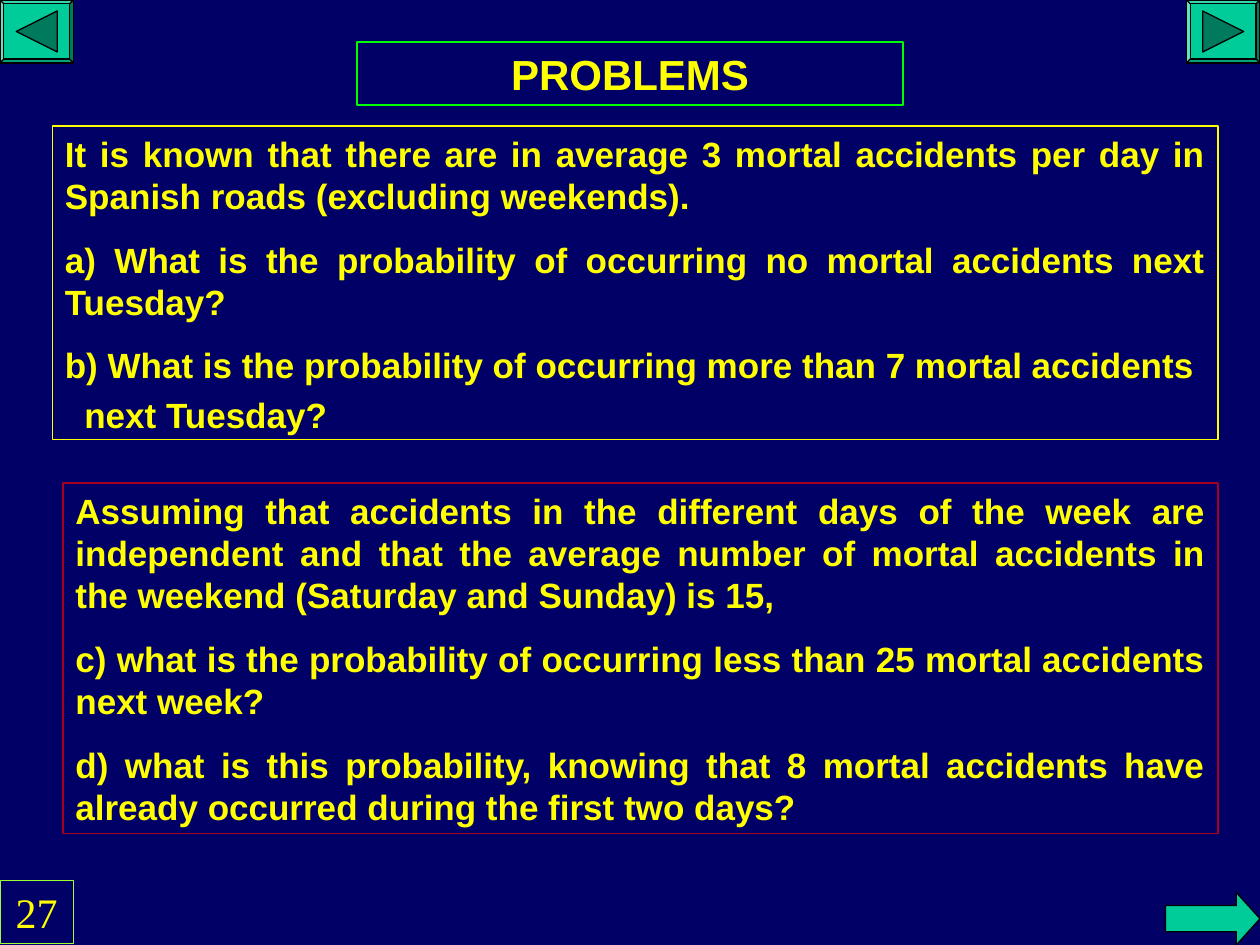
from dataclasses import dataclass

from pptx import Presentation
from pptx.dml.color import RGBColor
from pptx.enum.shapes import MSO_SHAPE
from pptx.enum.text import MSO_ANCHOR, MSO_AUTO_SIZE, PP_ALIGN
from pptx.util import Pt

RECTANGLE = MSO_SHAPE.RECTANGLE
BEVEL = MSO_SHAPE.BEVEL
RIGHT_ARROW = MSO_SHAPE.RIGHT_ARROW
CENTER, JUSTIFY = PP_ALIGN.CENTER, PP_ALIGN.JUSTIFY
TOP = MSO_ANCHOR.TOP
GROW = MSO_AUTO_SIZE.SHAPE_TO_FIT_TEXT

NAVY, YELLOW, BLACK = "000066", "FFFF00", "000000"
TEAL, DARK_TEAL = "00CC99", "007A5C"
SLIDE_WIDTH, SLIDE_HEIGHT = 720, 540
BUTTON_WIDTH, BUTTON_HEIGHT = 42, 36
LINE_FACTOR = 1.2


@dataclass
class Line:
    text: str
    spacing: float | None = None
    indent: float = 0


@dataclass
class Box:
    left: float
    top: float
    width: float
    height: float
    border: str
    lines: list[Line]
    size: float = 20
    font: str = "Arial"
    bold: bool = True
    align: PP_ALIGN = JUSTIFY


BOXES = [
    Box(204, 24, 312, 36, "00FF00", [Line("PROBLEMS")], size=24, align=CENTER),
    Box(30, 72, 666, 179.1, YELLOW, [
        Line("It is known that there are in average 3 mortal accidents per day in "
             "Spanish roads (excluding weekends)."),
        Line("a) What is the probability of occurring no mortal accidents next Tuesday?"),
        Line("b) What is the probability of occurring more than 7 mortal accidents"),
        Line("next Tuesday?", spacing=0.6, indent=11.1),
    ]),
    Box(36, 276, 660, 200.2, "A50021", [
        Line("Assuming that accidents in the different days of the week are "
             "independent and that the average number of mortal accidents in the "
             "weekend (Saturday and Sunday) is 15,"),
        Line("c) what is the probability of occurring less than 25 mortal accidents "
             "next week?"),
        Line("d) what is this probability, knowing that 8 mortal accidents have "
             "already occurred during the first two days?"),
    ]),
    Box(0, 503, 42, 36, "99FF33", [Line("27")], size=24,
        font="Times New Roman", bold=False, align=CENTER),
]


def color(value: str) -> RGBColor:
    return RGBColor.from_string(value)


def style(shape, fill: str | None, border: str) -> None:
    shape.shadow.inherit = False
    if fill:
        shape.fill.solid()
        shape.fill.fore_color.rgb = color(fill)
    else:
        shape.fill.background()
    shape.line.color.rgb = color(border)
    shape.line.width = Pt(0.75)


def add_shape(slide, kind, left: float, top: float, width: float, height: float,
              *, fill: str | None, border: str):
    shape = slide.shapes.add_shape(kind, Pt(left), Pt(top), Pt(width), Pt(height))
    style(shape, fill, border)
    return shape


def write(paragraph, text: str, *, size: float, font: str, bold: bool,
          align: PP_ALIGN, spacing: float | None, before: float, indent: float) -> None:
    if indent:
        paragraph._p.get_or_add_pPr().set("marL", str(int(Pt(indent))))
    paragraph.alignment = align
    paragraph.line_spacing = spacing or Pt(size * LINE_FACTOR)
    paragraph.space_before = Pt(before)
    run = paragraph.add_run()
    run.text = text
    run.font.size = Pt(size)
    run.font.name = font
    run.font.bold = bold
    run.font.color.rgb = color(YELLOW)


def add_box(slide, box: Box) -> None:
    shape = add_shape(slide, RECTANGLE, box.left, box.top, box.width, box.height,
                      fill=None, border=box.border)
    frame = shape.text_frame
    frame.word_wrap = True
    frame.vertical_anchor = TOP
    frame.auto_size = GROW
    for index, line in enumerate(box.lines):
        paragraph = frame.add_paragraph() if index else frame.paragraphs[0]
        write(paragraph, line.text, size=box.size, font=box.font, bold=box.bold,
              align=box.align, spacing=line.spacing,
              before=12.5 if index else 0, indent=line.indent)


def add_button(slide, left: float, direction: int) -> None:
    """Bevelled button with a triangle; direction is -1 for back, 1 for forward."""
    bevel = add_shape(slide, BEVEL, left, 0, BUTTON_WIDTH, BUTTON_HEIGHT,
                      fill=TEAL, border=BLACK)
    bevel.adjustments[0] = 0.06
    middle_x, middle_y, reach = left + BUTTON_WIDTH / 2, BUTTON_HEIGHT / 2, 11.7
    base_x = middle_x - direction * reach
    builder = slide.shapes.build_freeform(Pt(base_x), Pt(middle_y - reach))
    builder.add_line_segments([
        (Pt(middle_x + direction * reach), Pt(middle_y)),
        (Pt(base_x), Pt(middle_y + reach)),
    ], close=True)
    style(builder.convert_to_shape(), DARK_TEAL, BLACK)


def main() -> None:
    presentation = Presentation()
    presentation.slide_width = Pt(SLIDE_WIDTH)
    presentation.slide_height = Pt(SLIDE_HEIGHT)
    slide = presentation.slides.add_slide(presentation.slide_layouts[6])
    slide.background.fill.solid()
    slide.background.fill.fore_color.rgb = color(NAVY)

    # Title, problem texts and page number
    for box in BOXES:
        add_box(slide, box)

    # Navigation buttons
    add_button(slide, SLIDE_WIDTH - BUTTON_WIDTH, 1)
    add_button(slide, 0, -1)

    # Arrow to the next page
    arrow = add_shape(slide, RIGHT_ARROW, 666, 510, 54, 30, fill=TEAL, border=BLACK)
    arrow.adjustments[0] = 0.5
    arrow.adjustments[1] = 0.45

    presentation.save("out.pptx")


if __name__ == "__main__":
    main()
